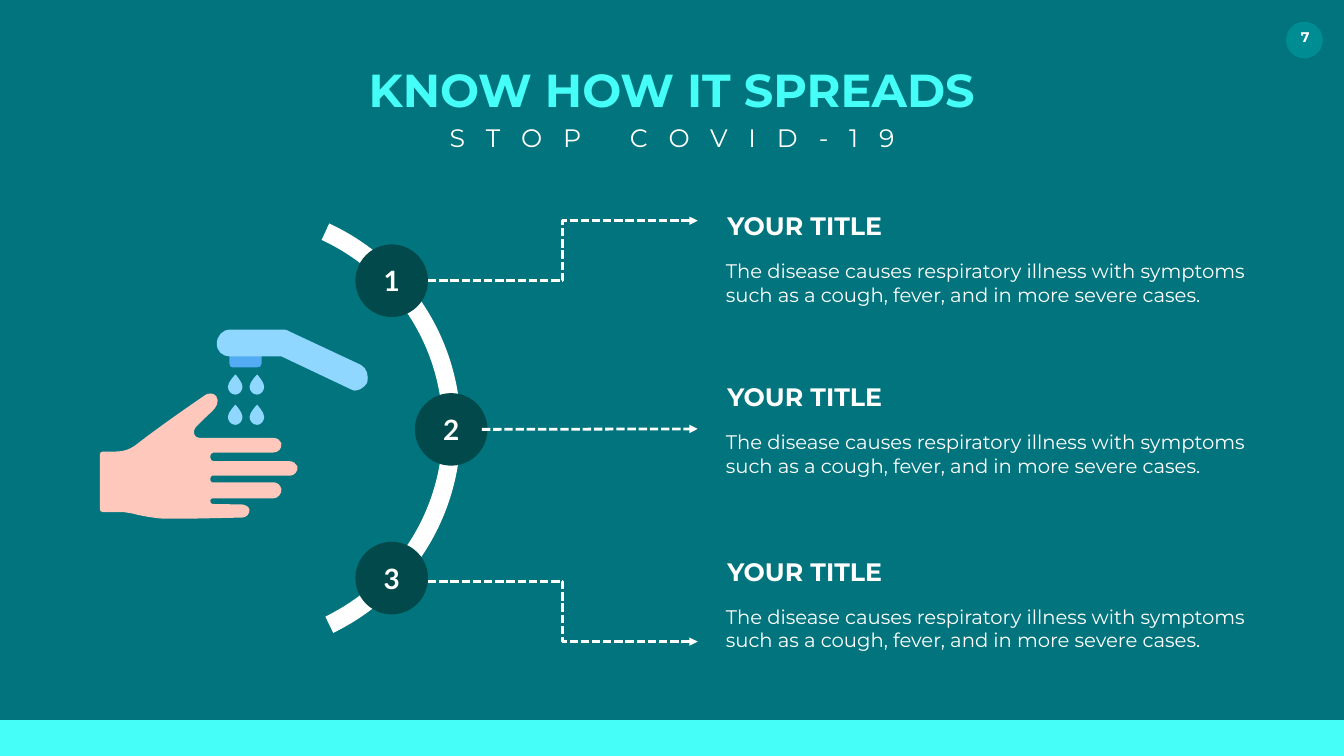
from lxml import etree
from pptx import Presentation
from pptx import util as u
from pptx.dml.color import RGBColor
from pptx.enum import shapes, text
from pptx.oxml.ns import qn

TEAL = RGBColor(0x01, 0x74, 0x7D)
CYAN = RGBColor(0x46, 0xFE, 0xF8)
BADGE = RGBColor(0x00, 0x8C, 0x93)
DARK = RGBColor(0x01, 0x49, 0x4A)
WHITE = RGBColor(0xFF, 0xFF, 0xFF)
SKIN = RGBColor(0xFF, 0xC8, 0xBD)
WATER = RGBColor(0x8F, 0xD7, 0xFF)
NOZZLE = RGBColor(0x53, 0xAB, 0xF4)

TITLE = "KNOW HOW IT SPREADS"
SUBTITLE = "STOP COVID-19"
PAGE = "7"
BODY = ("The disease causes respiratory illness with symptoms "
        "such as a cough, fever, and in more severe cases.")
STEPS = [
    {"number": "1", "title": "YOUR TITLE", "body": BODY, "circle": (7.05, 4.85),
     "arrow": (8.49, 5.57, 13.84, 4.38), "top": 4.12},
    {"number": "2", "title": "YOUR TITLE", "body": BODY, "circle": (8.23, 7.8),
     "arrow": (9.56, 8.52, 13.84, 8.51), "top": 7.52},
    {"number": "3", "title": "YOUR TITLE", "body": BODY, "circle": (7.05, 10.75),
     "arrow": (8.49, 11.54, 13.84, 12.73), "top": 10.98},
]

HAND = [
    (2.04, 8.96), (2.3, 8.96), (2.44, 8.96, 2.57, 8.92, 2.68, 8.84),
    (3.16, 8.46, 4.04, 7.86, 4.04, 7.86), (4.1, 7.8, 4.23, 7.78, 4.29, 7.86),
    (4.36, 7.97, 4.29, 8.08, 4.21, 8.16), (4.21, 8.16, 3.98, 8.37, 3.88, 8.48),
    (3.81, 8.56, 3.85, 8.69, 3.96, 8.69), (5.42, 8.69),
    (5.5, 8.69, 5.56, 8.73, 5.58, 8.79), (5.6, 8.9, 5.52, 8.98, 5.42, 8.98),
    (4.23, 8.98), (4.19, 8.98, 4.17, 9.03, 4.17, 9.06),
    (4.17, 9.11, 4.19, 9.15, 4.23, 9.15), (5.73, 9.15),
    (5.81, 9.15, 5.87, 9.19, 5.9, 9.25), (5.92, 9.36, 5.83, 9.44, 5.75, 9.44),
    (4.21, 9.44), (4.19, 9.44, 4.17, 9.47, 4.17, 9.51),
    (4.17, 9.55, 4.19, 9.57, 4.21, 9.57), (5.42, 9.57),
    (5.5, 9.57, 5.56, 9.62, 5.58, 9.7), (5.6, 9.78, 5.52, 9.89, 5.42, 9.89),
    (4.21, 9.89), (4.19, 9.89, 4.17, 9.91, 4.17, 9.93),
    (4.17, 9.97, 4.19, 10, 4.21, 10), (4.8, 10.01),
    (4.86, 10.01, 4.95, 10.06, 4.95, 10.12), (4.95, 10.2, 4.89, 10.27, 4.8, 10.27),
    (3.84, 10.29), (3.24, 10.29), (3.16, 10.29, 2.84, 10.25, 2.63, 10.19),
    (2.57, 10.19, 2.51, 10.16, 2.44, 10.16), (2.04, 10.16),
    (2, 10.16, 1.98, 10.14, 1.98, 10.1), (1.98, 9.03),
    (1.98, 8.98, 2, 8.96, 2.04, 8.96),
]
DROP = [
    (0, 0.24), (0, 0.32, 0.06, 0.4, 0.15, 0.4), (0.23, 0.4, 0.29, 0.32, 0.29, 0.24),
    (0.29, 0.15, 0.15, 0, 0.15, 0), (0.15, 0, 0, 0.15, 0, 0.24),
]
SPOUT = [
    (4.62, 7.29), (5.1, 7.29), (5.15, 7.29, 5.19, 7.27, 5.19, 7.21), (5.19, 6.87),
    (5.19, 6.83, 5.15, 6.78, 5.1, 6.78), (4.62, 6.78),
    (4.58, 6.78, 4.55, 6.83, 4.55, 6.87), (4.55, 7.21),
    (4.55, 7.27, 4.58, 7.29, 4.62, 7.29),
]
TAP = [
    (7.03, 7.75), (7.13, 7.75, 7.22, 7.69, 7.28, 7.6),
    (7.32, 7.45, 7.28, 7.31, 7.16, 7.24), (5.75, 6.58),
    (5.73, 6.57, 5.69, 6.54, 5.64, 6.54), (4.56, 6.54),
    (4.41, 6.54, 4.3, 6.67, 4.3, 6.82), (4.3, 6.97, 4.41, 7.07, 4.56, 7.07),
    (5.58, 7.07), (6.93, 7.71), (6.97, 7.73, 7.01, 7.75, 7.03, 7.75),
]
ICON = [(HAND, 0, 0, SKIN)]
ICON += [(DROP, x, y, WATER) for x in (4.95, 4.52) for y in (7.43, 8.03)]
ICON += [(SPOUT, 0, 0, NOZZLE), (TAP, 0, 0, WATER)]


def flat(sp, color):
    sp.shadow.inherit = False
    sp.fill.solid()
    sp.fill.fore_color.rgb = color
    sp.line.fill.background()
    return sp


def add_flat(s, kind, x, y, w, h, color):
    box = map(u.Inches, (x, y, w, h))
    return flat(s.shapes.add_shape(kind, *box), color)


def write(sp, words, size, color=WHITE, bold=False, font="Montserrat",
          align=text.PP_ALIGN.LEFT, anchor=text.MSO_ANCHOR.TOP, wrap=True):
    tf = sp.text_frame
    tf.text = words
    tf.word_wrap = wrap
    tf.vertical_anchor = anchor
    p = tf.paragraphs[0]
    p.alignment = align
    r = p.runs[0]
    r.font.size, r.font.name, r.font.bold = u.Pt(size), font, bold
    r.font.color.rgb = color
    return r


def add_text(s, x, y, w, h, words, size, **style):
    sp = s.shapes.add_textbox(*map(u.Inches, (x, y, w, h)))
    r = write(sp, words, size, **style)
    sp.text_frame.auto_size = text.MSO_AUTO_SIZE.SHAPE_TO_FIT_TEXT
    return r


def add_arrow(s, x1, y1, x2, y2):
    straight = abs(y2 - y1) < 0.1
    kind = shapes.MSO_CONNECTOR.STRAIGHT if straight else shapes.MSO_CONNECTOR.ELBOW
    sp = s.shapes.add_connector(kind, *map(u.Inches, (x1, y1, x2, y2)))
    sp.line.color.rgb = WHITE
    sp.line.width = u.Pt(4)
    ln = sp.line._get_or_add_ln()
    etree.SubElement(ln, qn("a:prstDash"), val="sysDash")
    etree.SubElement(ln, qn("a:tailEnd"), type="triangle")
    etree.SubElement(sp._element.spPr, qn("a:effectLst"))


def add_outline(s, outline, dx, dy, color):
    segs = [[(u.Inches(x + dx), u.Inches(y + dy)) for x, y in zip(seg[::2], seg[1::2])]
            for seg in outline]
    ends = [seg[-1] for seg in segs]
    fb = s.shapes.build_freeform(*ends[0])
    fb.add_line_segments(ends[1:], close=True)
    sp = flat(fb.convert_to_shape(), color)
    lines = list(sp._element.iter(qn("a:lnTo")))
    for line, seg in zip(lines, segs[1:]):
        if len(seg) == 3:
            curve = etree.Element(qn("a:cubicBezTo"))
            for x, y in seg:
                etree.SubElement(curve, qn("a:pt"), x=str(x - sp.left), y=str(y - sp.top))
            line.getparent().replace(line, curve)


def main():
    prs = Presentation()
    prs.slide_width, prs.slide_height = u.Inches(26.66), u.Inches(15)
    s = prs.slides.add_slide(prs.slide_layouts[5])
    center = text.PP_ALIGN.CENTER
    backdrop = add_flat(s, shapes.MSO_SHAPE.RECTANGLE, 0, 0, 26.66, 15, TEAL)
    s.shapes.title._element.addprevious(backdrop._element)
    add_flat(s, shapes.MSO_SHAPE.RECTANGLE, 0, 14.29, 26.66, 0.71, CYAN)
    add_flat(s, shapes.MSO_SHAPE.OVAL, 25.51, 0.43, 0.73, 0.73, BADGE)
    add_text(s, 25.41, 0.52, 0.96, 0.54, PAGE, 20, bold=True, align=center, wrap=False)

    title = s.shapes.title
    title.left, title.top, title.width, title.height = map(
        u.Inches, (7.13, 1.17, 12.39, 1.21))
    write(title, TITLE, 66, color=CYAN, bold=True, align=center, wrap=False)
    title.text_frame.auto_size = text.MSO_AUTO_SIZE.SHAPE_TO_FIT_TEXT
    r = add_text(s, 8.56, 2.37, 9.55, 0.71, SUBTITLE, 36, align=center, wrap=False)
    r.font._element.set("spc", "3000")

    arc = add_flat(s, shapes.MSO_SHAPE.BLOCK_ARC, 0.15, 4.02, 8.99, 8.99, WHITE)
    for i, value in enumerate((176.88, 38.44, 0.04)):
        arc.adjustments[i] = value

    for step in STEPS:
        disc = add_flat(s, shapes.MSO_SHAPE.OVAL, *step["circle"], 1.44, 1.44, DARK)
        write(disc, step["number"], 40, bold=True, font="Lato", align=center,
              anchor=text.MSO_ANCHOR.MIDDLE)
        add_arrow(s, *step["arrow"])
        add_text(s, 14.33, step["top"], 6.56, 0.71, step["title"], 36, bold=True)
        add_text(s, 14.3, step["top"] + 0.97, 10.91, 1.04, step["body"], 28)

    for part in ICON:
        add_outline(s, *part)
    prs.save("out.pptx")


if __name__ == "__main__":
    main()
